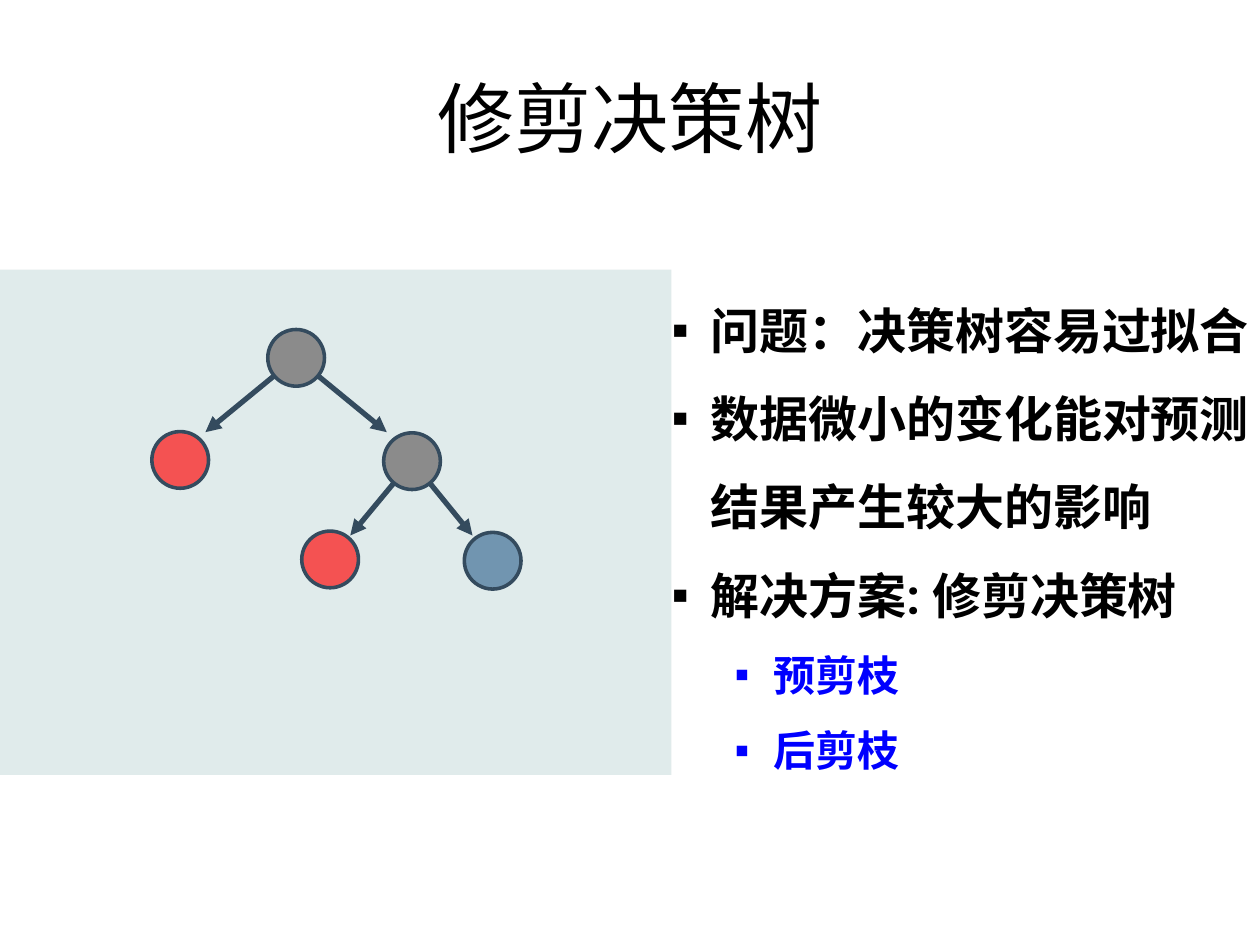
from lxml import etree
from pptx import Presentation
from pptx.dml.color import RGBColor
from pptx.enum.shapes import MSO_CONNECTOR as Link, MSO_SHAPE as Shape
from pptx.enum.text import MSO_ANCHOR as Anchor, MSO_AUTO_SIZE as AutoSize, PP_ALIGN as Align
from pptx.oxml.ns import qn
from pptx.util import Inches, Pt

COLORS = {
    "panel": "E0EBEB",
    "outline": "344B5E",
    "split": "8B8B8B",
    "red_leaf": "FF0000",
    "blue_leaf": "7195B0",
    "text": "000000",
    "accent": "0000FF",
}


def write(para, text, font="Roboto", size=28, color="text", bold=False):
    """Add a formatted run of text to a paragraph."""
    span = para.add_run()
    span.text = text
    span.font.name = font
    span.font.size = Pt(size)
    span.font.bold = bold
    span.font.color.rgb = RGBColor.from_string(COLORS[color])


class TreeSlide:
    """Holds the current slide and the style of the tree."""

    node_size = 0.45
    outline_width = 2.04
    arrow_width = 3

    def __init__(self, deck):
        self.page = deck.slides.add_slide(deck.slide_layouts[1])

    def place(self, shape, left, top, width, height):
        shape.left, shape.top = Inches(left), Inches(top)
        shape.width, shape.height = Inches(width), Inches(height)

    def title(self, text):
        box = self.page.shapes.title
        self.place(box, 0.5, 0.3, 9, 1.25)
        box.text_frame.vertical_anchor = Anchor.MIDDLE
        para = box.text_frame.paragraphs[0]
        para.alignment = Align.CENTER
        write(para, text, font="Calibri", size=44)

    def bullets(self, items):
        box = self.page.placeholders[1]
        self.place(box, 5.31, 2.14, 4.63, 3.98)
        frame = box.text_frame
        frame.margin_left = frame.margin_right = frame.margin_bottom = 0
        frame.margin_top = Inches(0.01)
        frame.auto_size = AutoSize.SHAPE_TO_FIT_TEXT
        for index, (level, text) in enumerate(items):
            para = frame.add_paragraph() if index else frame.paragraphs[0]
            para.level = level
            para.line_spacing = 1.5
            para.space_before = Pt(0)
            props = para._p.get_or_add_pPr()
            props.set("marL", str(Inches(0.33 + 0.5 * level)))
            props.set("indent", str(Inches(-0.31)))
            etree.SubElement(props, qn("a:buChar")).set("char", "▪")
            write(para, text, size=24 if level else 28,
                  color="accent" if level else "text", bold=True)

    def shape(self, kind, left, top, width, height, color):
        shape = self.page.shapes.add_shape(
            kind, Inches(left), Inches(top), Inches(width), Inches(height))
        shape.shadow.inherit = False
        shape.fill.solid()
        shape.fill.fore_color.rgb = RGBColor.from_string(COLORS[color])
        return shape

    def panel(self, left, top, width, height):
        panel = self.shape(Shape.RECTANGLE, left, top, width, height, "panel")
        panel.line.fill.background()

    def node(self, x, y, color, opacity=100):
        size = self.node_size
        node = self.shape(Shape.OVAL, x - size / 2, y - size / 2, size, size, color)
        node.line.color.rgb = RGBColor.from_string(COLORS["outline"])
        node.line.width = Pt(self.outline_width)
        if opacity < 100:
            # Transparency of the fill
            tint = node._element.spPr.find(qn("a:solidFill"))[0]
            etree.SubElement(tint, qn("a:alpha")).set("val", str(opacity * 1000))

    def arrow(self, start, end):
        arrow = self.page.shapes.add_connector(
            Link.STRAIGHT, *(Inches(value) for value in (*start, *end)))
        arrow.line.color.rgb = RGBColor.from_string(COLORS["outline"])
        arrow.line.width = Pt(self.arrow_width)
        etree.SubElement(arrow.line._get_or_add_ln(), qn("a:tailEnd")).set("type", "triangle")
        etree.SubElement(arrow._element.spPr, qn("a:effectLst"))


def main():
    deck = Presentation()
    deck.slide_width, deck.slide_height = Inches(10), Inches(7.5)
    slide = TreeSlide(deck)

    # Title and text
    slide.title("修剪决策树")
    slide.bullets([
        (0, "问题：决策树容易过拟合"),
        (0, "数据微小的变化能对预测结果产生较大的影响"),
        (0, "解决方案: 修剪决策树"),
        (1, "预剪枝"),
        (1, "后剪枝"),
    ])

    # Tree background
    slide.panel(0, 2.14, 5.33, 4.01)

    # Branches, drawn below the nodes
    root, child = (2.35, 2.84), (3.27, 3.66)
    for start, end in [
        (root, (1.63, 3.43)), (root, (3.07, 3.43)),
        (child, (2.78, 4.25)), (child, (3.75, 4.25)),
    ]:
        slide.arrow(start, end)

    # Split nodes and leaves
    for x, y in (root, child):
        slide.node(x, y, "split")
    for x, y in [(1.43, 3.65), (2.62, 4.44)]:
        slide.node(x, y, "red_leaf", opacity=65)
    slide.node(3.91, 4.45, "blue_leaf")

    deck.save("out.pptx")


if __name__ == "__main__":
    main()
